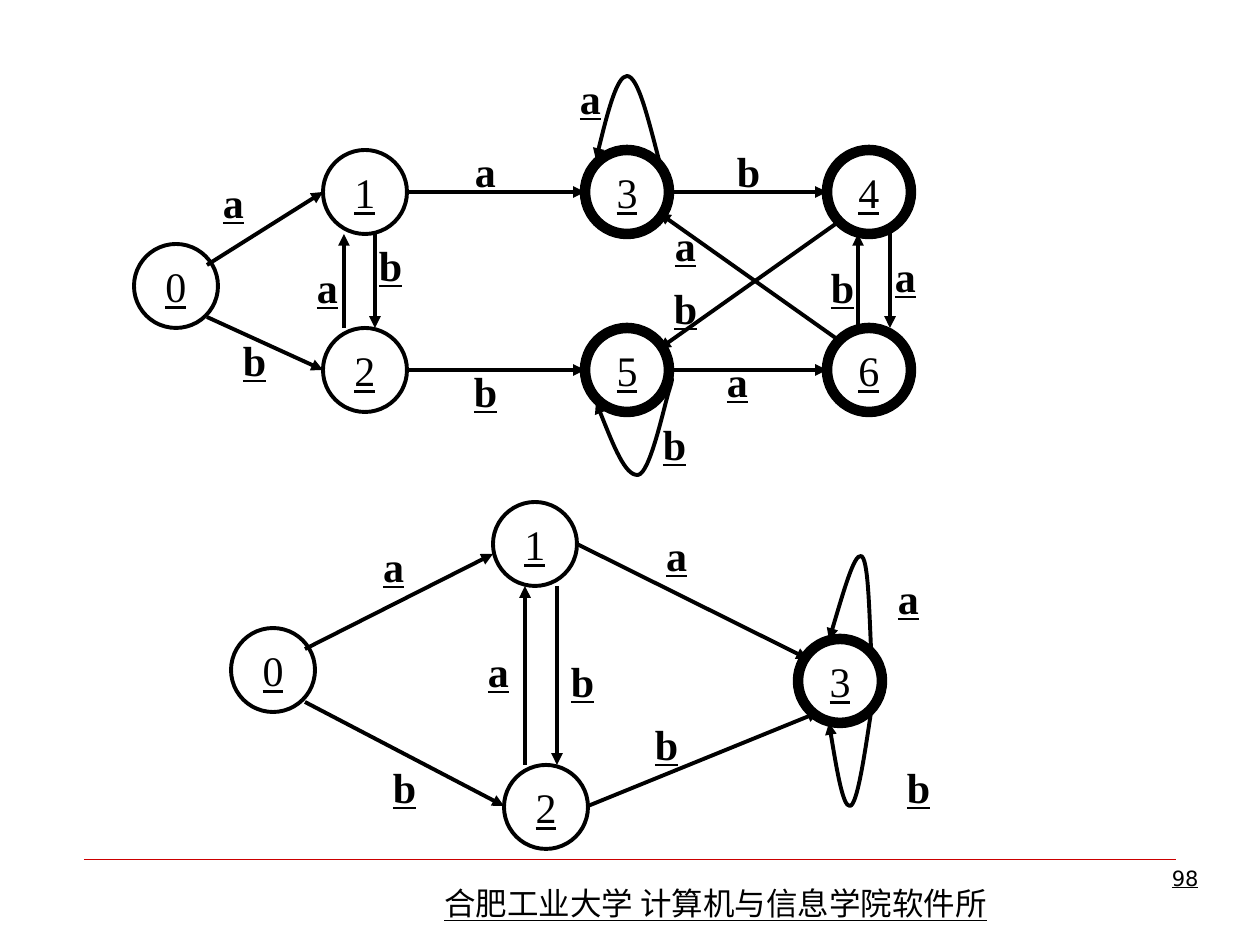
from pptx import Presentation
from pptx.dml.color import RGBColor
from pptx.enum.shapes import MSO_CONNECTOR, MSO_SHAPE
from pptx.enum.text import MSO_ANCHOR, PP_ALIGN
from pptx.oxml.ns import qn
from pptx.util import Emu, Pt
from lxml import etree

LINE, OVAL = MSO_CONNECTOR.STRAIGHT, MSO_SHAPE.OVAL
LEFT, MID, RIGHT = PP_ALIGN.LEFT, PP_ALIGN.CENTER, PP_ALIGN.RIGHT
TOP, CORE = MSO_ANCHOR.TOP, MSO_ANCHOR.MIDDLE
BLACK = RGBColor(0x00, 0x00, 0x00)
RED = RGBColor(0xCC, 0x00, 0x00)
SCALE = 914400 / 126
SIZE = 84  # state diameter
SERIF = "Times New Roman"


def px(*vals):
    return [Emu(round(val * SCALE)) for val in vals]


def write(shape, text, align=MID, anchor=CORE, wrap=False, **form):
    frame = shape.text_frame
    frame.word_wrap = wrap
    frame.vertical_anchor = anchor
    par = frame.paragraphs[0]
    par.alignment = align
    run = par.add_run()
    run.text = text
    look = {"name": SERIF, "size": Pt(24), "underline": True, **form}
    for key, val in look.items():
        setattr(run.font, key, val)
    run.font.color.rgb = BLACK
    east = etree.SubElement(run.font._element, qn("a:ea"))
    east.set("typeface", look["name"])


prs = Presentation()
prs.slide_width, prs.slide_height = px(1260, 945)
slide = prs.slides.add_slide(prs.slide_layouts[6])
shapes = slide.shapes

# Footer: rule, institute and page number
rule = shapes.add_connector(LINE, *px(84, 859, 1176, 859))
rule.line.color.rgb = RED
rule.line.width = Pt(0.25)
etree.SubElement(rule._element.spPr, qn("a:effectLst"))
foot = shapes.add_textbox(*px(432, 878, 595, 50))
write(foot, "合肥工业大学 计算机与信息学院软件所", LEFT, TOP, True,
      name="Noto Sans CJK SC", size=Pt(18))
page = shapes.add_textbox(*px(937, 859, 274, 66))
write(page, "98", RIGHT, TOP, True, name="DejaVu Sans", size=Pt(12))

# States: name, left, top, line width (thick for accepting states)
states = [
    # upper automaton
    ("0", 134, 244, 2.25), ("1", 323, 150, 2.25), ("2", 323, 328, 2.25),
    ("3", 585, 150, 6), ("5", 585, 328, 6),
    ("4", 827, 150, 6), ("6", 827, 328, 6),
    # lower automaton
    ("0", 231, 628, 2.25), ("1", 493, 502, 2.25), ("2", 504, 765, 2.25),
    ("3", 798, 639, 6),
]
for name, x, y, width in states:
    state = shapes.add_shape(OVAL, *px(x, y, SIZE, SIZE))
    state.shadow.inherit = False
    state.fill.background()
    state.line.color.rgb = BLACK
    state.line.width = Pt(width)
    write(state, name)

# Straight moves between states
edges = [
    # upper automaton
    (207, 265, 323, 192), (407, 192, 585, 192), (669, 192, 827, 192),
    (207, 317, 323, 370), (407, 370, 585, 370), (669, 370, 827, 370),
    (375, 233, 375, 328), (344, 328, 344, 234),
    (858, 328, 858, 234), (890, 233, 890, 328),
    (837, 223, 659, 349), (837, 339, 659, 213),
    # lower automaton
    (305, 649, 493, 554), (577, 544, 808, 659), (305, 702, 504, 806),
    (557, 586, 557, 765), (525, 765, 525, 586), (588, 806, 819, 712),
]
arrows = [shapes.add_connector(LINE, *px(*edge)) for edge in edges]

# Self loops: a start point, then three points for each curve
loops = [
    [(659, 160), (648, 118), (638, 76), (627, 76),
     (617, 76), (606, 118), (596, 160)],
    [(669, 381), (672, 378), (674, 375), (669, 391), (664, 407),
     (650, 474), (638, 475), (625, 476), (611, 439), (596, 402)],
    [(871, 649), (869, 604), (868, 558), (861, 556),
     (854, 554), (842, 597), (829, 640)],
    [(871, 712), (864, 759), (857, 805), (850, 806),
     (843, 807), (836, 766), (829, 723)],
]
for start, *rest in loops:
    pen = shapes.build_freeform(*start, scale=SCALE)
    pen.add_line_segments(rest, close=False)
    loop = pen.convert_to_shape()
    loop.shadow.inherit = False
    loop.fill.background()
    # Turn each three straight steps into one Bézier curve
    steps = loop._element.xpath(".//a:lnTo")
    for i in range(0, len(steps), 3):
        curve = etree.Element(qn("a:cubicBezTo"))
        steps[i].addprevious(curve)
        for step in steps[i:i + 3]:
            curve.append(step[0])
            step.getparent().remove(step)
    arrows.append(loop)

# Line style and arrowheads
for arrow in arrows:
    arrow.line.color.rgb = BLACK
    arrow.line.width = Pt(2.25)
    tail = etree.SubElement(arrow.line._get_or_add_ln(), qn("a:tailEnd"))
    tail.set("type", "triangle")
    if arrow._element.spPr.find(qn("a:effectLst")) is None:
        etree.SubElement(arrow._element.spPr, qn("a:effectLst"))

# Input symbols: left and top of each label
marks = {
    "a": [(197, 170), (449, 139), (701, 349), (291, 255), (869, 244),
          (649, 213), (554, 66),
          (357, 534), (872, 566), (462, 639), (640, 523)],
    "b": [(712, 139), (218, 328), (449, 359), (354, 233), (806, 255),
          (649, 276), (638, 412),
          (368, 755), (882, 755), (546, 649), (630, 712)],
}
for sign, spots in marks.items():
    for x, y in spots:
        label = shapes.add_textbox(*px(x, y, 73, 63))
        write(label, sign, bold=True)

prs.save("out.pptx")
